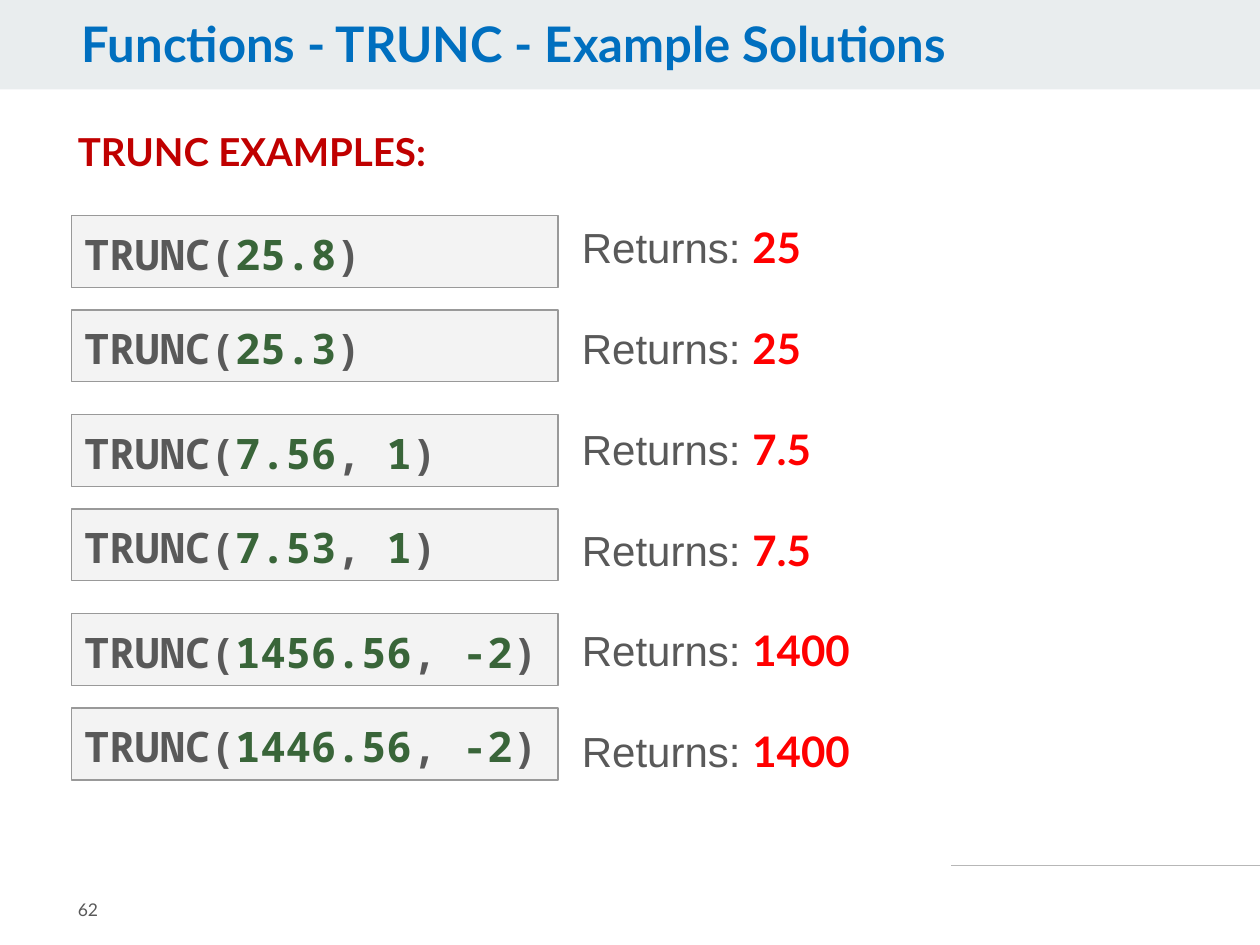
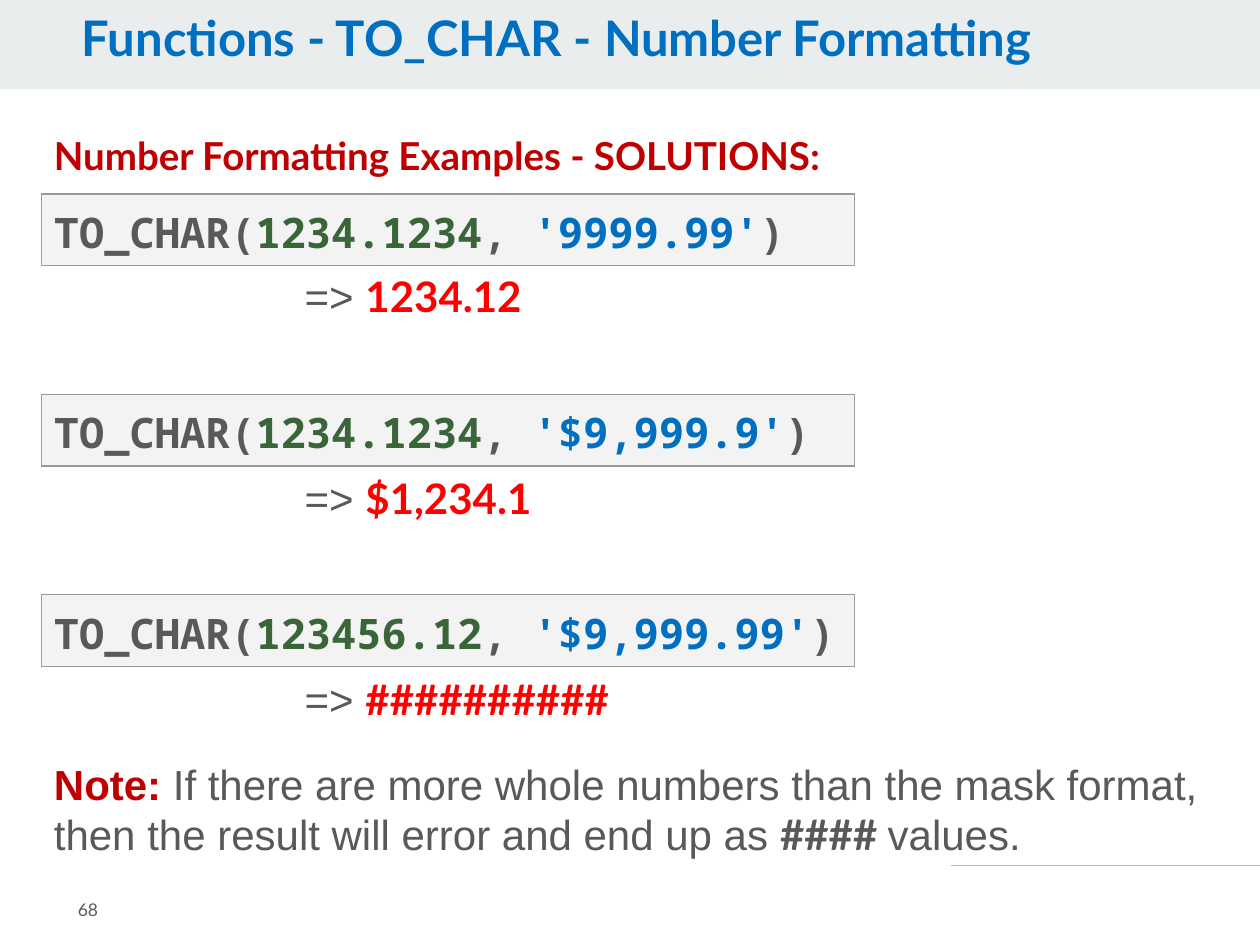
"""Build two slides of worked TRUNC and TO_CHAR examples."""
from lxml import etree
from pptx import Presentation
from pptx.dml.color import RGBColor
from pptx.enum import shapes, text
from pptx.oxml.ns import qn
from pptx.util import Inches, Pt

BLUE, GREEN, GREY = "006FBF", "396539", "595959"
RED, DARK = "FF0000", "C00000"
BAND, RULE, PALE, EDGE = "E9EDEE", "B7B7B7", "F3F3F3", "999999"
HEAD, BODY, MONO = "Lato", "Arial", "Noto Sans Mono"

TRUNC = dict(
    title="Functions - TRUNC - Example Solutions", title_y=0.11, page="62",
    head="TRUNC EXAMPLES:", head_x=0.52, head_y=0.97,
    func="TRUNC", lead="Returns: ",
    rows=[(["25.8"], "25"), (["25.3"], "25"),
          (["7.56", "1"], "7.5"), (["7.53", "1"], "7.5"),
          (["1456.56", "-2"], "1400"), (["1446.56", "-2"], "1400")],
    code_x=0.57, code_y=1.71, code_w=3.86, group=2, step=0.75, jump=1.58,
    ans_x=4.52, ans_y=1.71, ans_step=0.8)

CHAR = dict(
    title="Functions - TO_CHAR - Number Formatting", title_y=0.06, page="68",
    head="Number Formatting Examples - SOLUTIONS:", head_x=0.33, head_y=1,
    func="TO_CHAR", lead="=> ",
    rows=[(["1234.1234", "'9999.99'"], "1234.12"),
          (["1234.1234", "'$9,999.9'"], "$1,234.1"),
          (["123456.12", "'$9,999.99'"], "##########")],
    code_x=0.33, code_y=1.54, code_w=6.45, group=1, step=0, jump=1.59,
    ans_x=2.32, ans_y=2.1, ans_step=1.6)

NOTE = [("Note: ", DARK, BODY, True),
        ("If there are more whole numbers than the mask format, "
         "then the result will error and end up as ", GREY, BODY, False),
        ("#### ", GREY, HEAD, True), ("values.", GREY, BODY, False)]


def rgb(code):
    """Turn a hex string into a colour."""
    return RGBColor.from_string(code)


def write(shape, runs, size=24, pad=0.05, mid=False, space=None):
    """Fill a shape with runs of (text, colour, font, bold)."""
    frame = shape.text_frame
    frame.word_wrap = True
    frame.auto_size = text.MSO_AUTO_SIZE.NONE
    anchor = text.MSO_ANCHOR
    frame.vertical_anchor = anchor.MIDDLE if mid else anchor.TOP
    frame.margin_left = frame.margin_right = Inches(0.1)
    frame.margin_top = frame.margin_bottom = Inches(pad)
    par = frame.paragraphs[0]
    par.alignment = text.PP_ALIGN.LEFT
    if space:
        par.line_spacing = space
    for words, color, face, bold in runs:
        run = par.add_run()
        run.text = words
        font = run.font
        font.name, font.size, font.bold = face, Pt(size), bold
        font.color.rgb = rgb(color)


def label(slide, x, y, w, h, runs, **form):
    """Add a text box."""
    box = slide.shapes.add_textbox(*map(Inches, (x, y, w, h)))
    write(box, runs, **form)


def block(slide, x, y, w, h, fill, edge=None):
    """Add a flat rectangle."""
    box = slide.shapes.add_shape(shapes.MSO_SHAPE.RECTANGLE,
                                 *map(Inches, (x, y, w, h)))
    box.shadow.inherit = False
    box.fill.solid()
    box.fill.fore_color.rgb = rgb(fill)
    if edge:
        box.line.color.rgb = rgb(edge)
        box.line.width = Pt(0.75)
    else:
        box.line.fill.background()
    return box


def call(func, args):
    """Split a function call into coloured runs."""
    parts = [(func + "(", GREY)]
    for i, arg in enumerate(args):
        if i:
            parts.append((", ", GREY))
        parts.append((arg, BLUE if arg.startswith("'") else GREEN))
    parts.append((")", GREY))
    return [(words, color, MONO, True) for words, color in parts]


def frame(deck, data):
    """Add a slide with its band, title, rule and page number."""
    slide = deck.slides.add_slide(deck.slide_layouts[5])
    title = slide.shapes.title
    band = block(slide, 0, 0, 10, 0.71, BAND)
    title._element.addprevious(band._element)
    title.left, title.top = Inches(0.55), Inches(data["title_y"])
    title.width, title.height = Inches(7.88), Inches(0.55)
    write(title, [(data["title"], BLUE, HEAD, True)], size=28, space=0.9)
    rule = slide.shapes.add_connector(
        shapes.MSO_CONNECTOR.STRAIGHT,
        *map(Inches, (7.55, 6.87, 10, 6.87)))
    rule.line.color.rgb = rgb(RULE)
    rule.line.width = Pt(0.75)
    etree.SubElement(rule._element.spPr, qn("a:effectLst"))
    label(slide, 0.52, 6.93, 1.23, 0.57,
          [(data["page"], GREY, HEAD, False)], size=10, pad=0.1, mid=True)
    return slide


def build(deck, data):
    """Add a slide of calls and their results."""
    slide = frame(deck, data)
    label(slide, data["head_x"], data["head_y"], 8.82, 0.5,
          [(data["head"], DARK, HEAD, True)], size=22)
    for i, (args, answer) in enumerate(data["rows"]):
        pair, place = divmod(i, data["group"])
        top = data["code_y"] + pair * data["jump"] + place * data["step"]
        box = block(slide, data["code_x"], top, data["code_w"], 0.57,
                    PALE, EDGE)
        write(box, call(data["func"], args), pad=0.1)
        label(slide, data["ans_x"], data["ans_y"] + i * data["ans_step"],
              4, 0.5, [(data["lead"], GREY, BODY, False),
                       (answer, RED, HEAD, True)])
    return slide


def main():
    """Build and save the deck."""
    deck = Presentation()
    deck.slide_width, deck.slide_height = Inches(10), Inches(7.5)
    build(deck, TRUNC)
    last = build(deck, CHAR)
    label(last, 0.33, 5.97, 9.5, 0.9, NOTE)
    deck.save("out.pptx")


if __name__ == "__main__":
    main()
